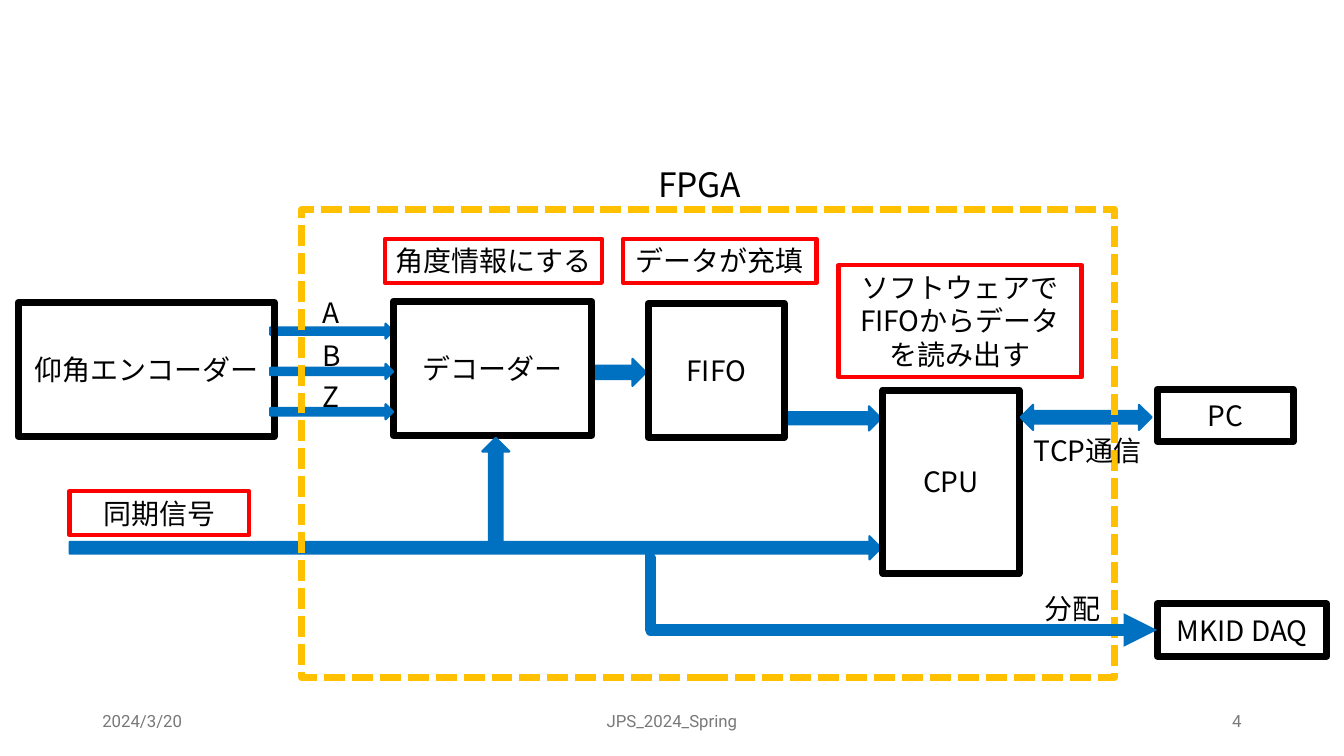
import pptx
import pptx.dml.color
import pptx.enum.dml
import pptx.enum.shapes
import pptx.enum.text
import pptx.oxml
import pptx.oxml.ns
import pptx.util

Pt = pptx.util.Pt
SHAPES = pptx.enum.shapes.MSO_SHAPE
ALIGN = pptx.enum.text.PP_ALIGN
ANCHOR = pptx.enum.text.MSO_ANCHOR
COLORS = {"signal": "0070C0", "block": "000000", "note": "FF0000",
          "chip": "FFC000", "text": "000000", "footer": "797979"}


def color(name):
    return pptx.dml.color.RGBColor.from_string(COLORS[name])


def add_xml(parent, tag, **attributes):
    element = pptx.oxml.parse_xml(f"<a:{tag} {pptx.oxml.ns.nsdecls('a')}/>")
    for key, value in attributes.items():
        element.set(key, value)
    parent.append(element)


class Diagram:
    font, size = "Noto Sans CJK JP", 20

    def __init__(self, slide):
        self.shapes = slide.shapes

    def set_text(self, shape, text, align, anchor, size=None, font=None, ink="text"):
        frame = shape.text_frame
        frame.word_wrap = True
        frame.vertical_anchor = anchor
        paragraph = frame.paragraphs[0]
        paragraph.text = text
        paragraph.alignment = align
        style = paragraph.font
        style.size = Pt(size or self.size)
        style.color.rgb = color(ink)
        style.name = font or self.font
        add_xml(style._element, "ea", typeface=style.name)

    def outline(self, box, ink, weight):
        shape = self.shapes.add_shape(SHAPES.RECTANGLE, *map(Pt, box))
        shape.shadow.inherit = False
        shape.fill.background()
        shape.line.color.rgb = color(ink)
        shape.line.width = Pt(weight)
        return shape

    def block(self, text, *box):
        shape = self.outline(box, "block", 5)
        self.set_text(shape, text, ALIGN.CENTER, ANCHOR.MIDDLE)
        return shape

    def note(self, text, *box):
        self.set_text(self.outline(box, "note", 3), text, ALIGN.CENTER, ANCHOR.TOP)

    def label(self, text, *box, align=ALIGN.LEFT, anchor=ANCHOR.TOP, **style):
        shape = self.shapes.add_textbox(*map(Pt, box))
        self.set_text(shape, text, align, anchor, **style)

    def arrow(self, *box, kind=SHAPES.RIGHT_ARROW):
        shape = self.shapes.add_shape(kind, *map(Pt, box))
        shape.shadow.inherit = False
        shape.fill.solid()
        shape.fill.fore_color.rgb = color("signal")
        shape.line.color.rgb = color("signal")
        shape.line.width = Pt(1.5)

    def branch(self, x, y, target, bend):
        """Elbow arrow to the left side of target; bend is in 1/100000 of the width."""
        line = self.shapes.add_connector(
            pptx.enum.shapes.MSO_CONNECTOR.ELBOW, Pt(x), Pt(y), Pt(x), Pt(y))
        line.end_connect(target, 1)
        line.line.color.rgb = color("signal")
        line.line.width = Pt(8)
        add_xml(line.line._get_or_add_ln(), "tailEnd", type="triangle")
        properties = line._element.spPr
        add_xml(properties, "effectLst")
        for values in properties.xpath("a:prstGeom/a:avLst"):
            add_xml(values, "gd", name="adj1", fmla=f"val {bend}")


def main():
    deck = pptx.Presentation()
    deck.slide_width, deck.slide_height = Pt(960), Pt(540)
    diagram = Diagram(deck.slides.add_slide(deck.slide_layouts[6]))

    for text, left, width, align in [
            ("2024/3/20", 66, 216, ALIGN.LEFT),
            ("JPS_2024_Spring", 318, 324, ALIGN.CENTER),
            ("4", 678, 216, ALIGN.RIGHT)]:
        diagram.label(text, left, 500.5, width, 28.8, align=align,
                      anchor=ANCHOR.MIDDLE, size=12, font="Roboto", ink="footer")

    # Channel A runs behind the blocks, B and Z in front of them
    channels = [(193, 231.1 + 28.8 * row, 87.8, 10.8) for row in range(3)]
    diagram.arrow(*channels[0])
    diagram.arrow(422.6, 256.3, 38.9, 19.4)   # decoder to FIFO
    diagram.arrow(49.7, 383, 579.6, 16.6)     # sync signal to CPU
    diagram.arrow(562.3, 290.2, 67, 17.3)     # FIFO to CPU

    diagram.note("同期信号", 49.7, 350.8, 128.2, 31.5)
    diagram.note("角度情報にする", 275, 170.6, 155, 31.5)
    diagram.note("データが充填", 445, 170.6, 138.2, 31.5)
    diagram.note("ソフトウェアでFIFOからデータを読み出す", 599, 189.4, 173.5, 80)

    diagram.block("仰角エンコーダー", 13, 216, 183, 95.8)
    diagram.block("デコーダー", 281, 215.3, 141.8, 95.8)
    diagram.block("FIFO", 463, 216.7, 97.2, 95.8)
    diagram.block("CPU", 630.7, 278.6, 97.2, 131)
    diagram.block("PC", 826.6, 278, 97.2, 37.4)

    for channel in channels[1:]:
        diagram.arrow(*channel)
    diagram.arrow(729, 289.1, 93.6, 18, kind=SHAPES.LEFT_RIGHT_ARROW)
    for text, top in [("A", 207.4), ("B", 238.3), ("Z", 267.8)]:
        diagram.label(text, 223, top, 70.6, 31.5)
    diagram.arrow(344.5, 312.8, 19.4, 74.9, kind=SHAPES.UP_ARROW)

    chip = diagram.outline((215.3, 149.8, 581, 334), "chip", 5)
    chip.line.dash_style = pptx.enum.dml.MSO_LINE.SQUARE_DOT
    diagram.label("FPGA", 463, 113.8, 111.6, 36, size=24)

    acquisition = diagram.block("MKID DAQ", 826.6, 431.3, 121, 37.4)
    diagram.label("TCP通信", 731.5, 306, 127.4, 31.5)
    diagram.label("分配", 738.7, 419, 59, 31.5)
    diagram.branch(460.8, 398.9, acquisition, bend=1100)

    deck.save("out.pptx")


if __name__ == "__main__":
    main()
